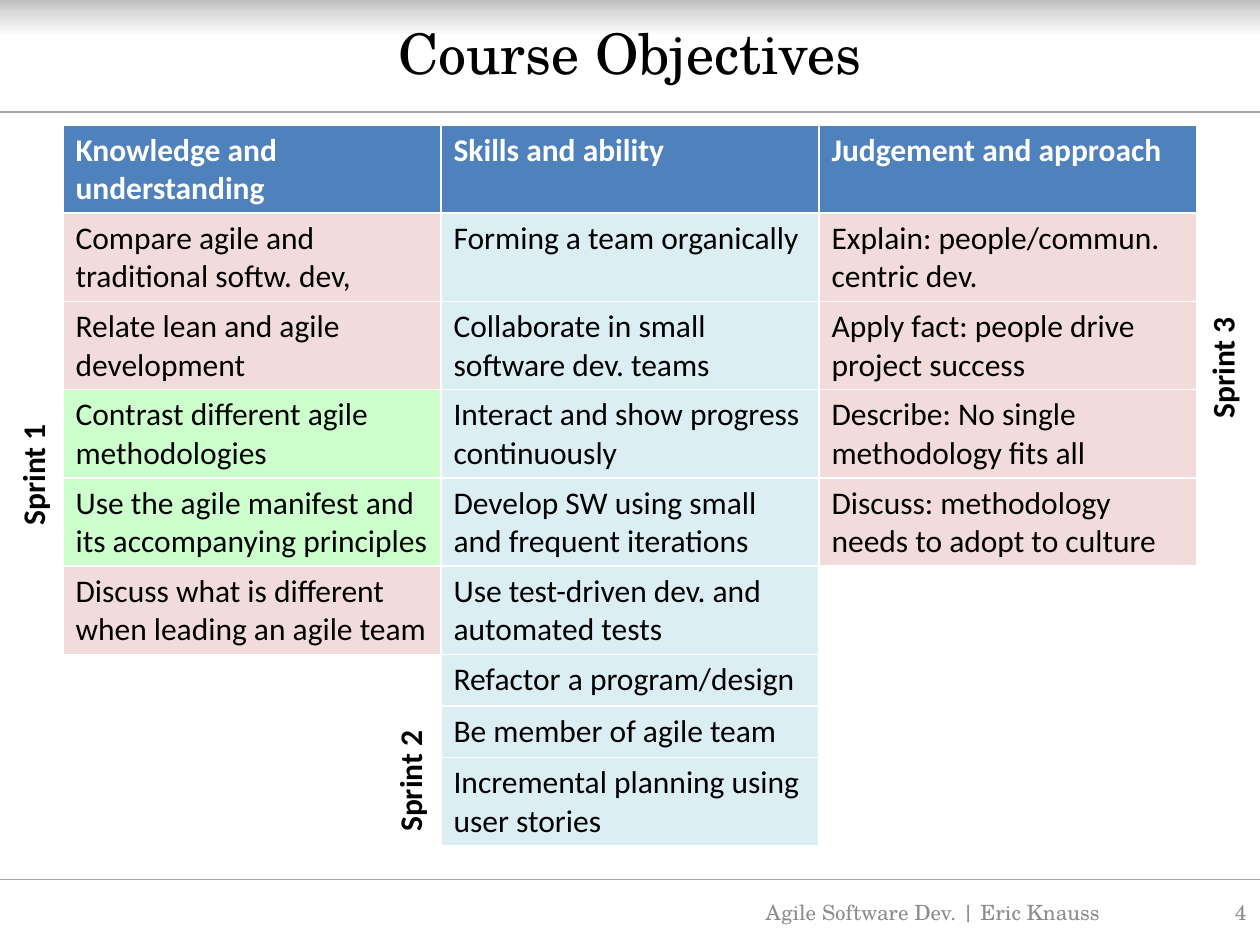
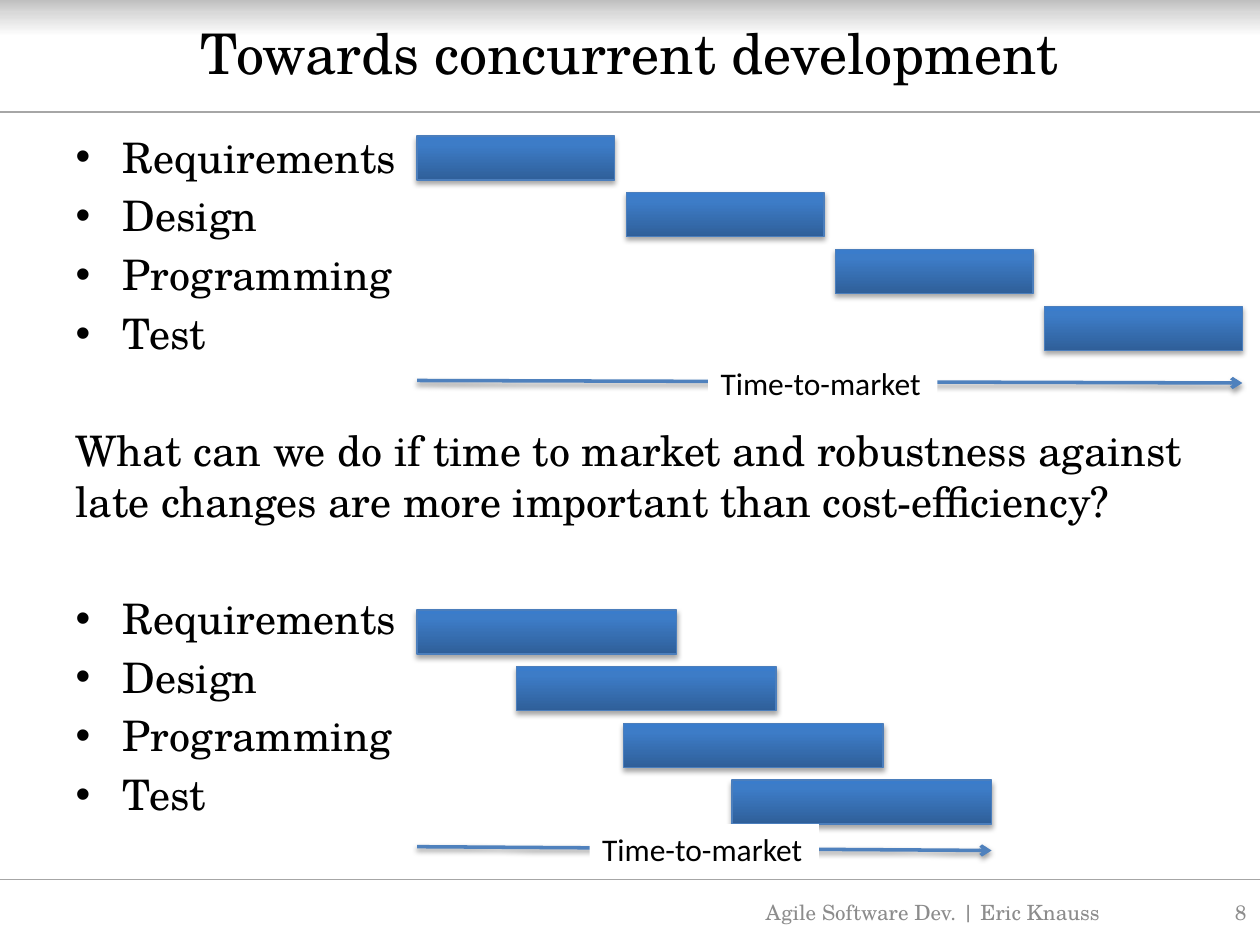
from lxml.etree import SubElement
from pptx import Presentation
from pptx.dml.color import RGBColor
from pptx.enum.shapes import MSO_CONNECTOR as Connector, MSO_SHAPE as Preset
from pptx.enum.text import MSO_ANCHOR as Anchor, MSO_AUTO_SIZE as AutoSize, PP_ALIGN as Align
from pptx.oxml import parse_xml
from pptx.oxml.ns import nsdecls, qn
from pptx.util import Inches, Pt

rgb = RGBColor.from_string
SERIF, SANS = "TeX Gyre Schola", "Calibri"
BLACK, WHITE, BLUE, RULE_GREY, FOOTER_GREY = "000000", "FFFFFF", "4F81BD", "A6A6A6", "8C8C8C"
ROSE, ICE, MINT = "F2DCDB", "DBEEF4", "CCFFCC"
MARGIN, CONTENT_TOP, CONTENT_WIDTH = Inches(0.5), Inches(0.99), Inches(9)


def write(frame, text, size=18, font=SANS, color=BLACK, bold=False, align=Align.LEFT, before=0):
    """Fill the first paragraph of the frame, or add another one after it."""
    paragraph = frame.add_paragraph() if frame.text else frame.paragraphs[0]
    paragraph.alignment = align
    paragraph.space_before = Pt(before)
    run = paragraph.add_run()
    run.text = text
    run.font.size, run.font.name, run.font.bold = Pt(size), font, bold
    run.font.color.rgb = rgb(color)
    return paragraph


def fill_gradient(shape, stops, angle):
    """Give the shape a linear gradient of (percent, colour) stops."""
    shape.fill.gradient()
    gradient = shape._element.spPr.find(qn("a:gradFill"))
    stop_xml = "".join(
        f'<a:gs pos="{percent * 1000}"><a:srgbClr val="{color}"/></a:gs>' for percent, color in stops)
    gradient.getparent().replace(gradient, parse_xml(
        f'<a:gradFill {nsdecls("a")} rotWithShape="1"><a:gsLst>{stop_xml}</a:gsLst>'
        f'<a:lin ang="{angle * 60000}" scaled="0"/></a:gradFill>'))


prs = Presentation()
prs.slide_width, prs.slide_height = Inches(10), Inches(7.5)
objectives = prs.slides.add_slide(prs.slide_layouts[5])
concurrent = prs.slides.add_slide(prs.slide_layouts[1])

# Band and rules: drawn once, then moved to the master
band = objectives.shapes.add_shape(Preset.RECTANGLE, 0, 0, prs.slide_width, Inches(0.29))
fill_gradient(band, [(0, "BFBFBF"), (34, "D9D9D9"), (100, WHITE)], 90)
band.line.fill.background()
band.shadow.inherit = False
backdrop = [band]
for height in (0.89, 6.98):
    rule = objectives.shapes.add_connector(
        Connector.STRAIGHT, 0, Inches(height), prs.slide_width, Inches(height))
    rule.line.color.rgb = rgb(RULE_GREY)
    rule.line.width = Pt(0.75)
    SubElement(rule._element.spPr, qn("a:effectLst"))
    backdrop.append(rule)
for number, part in enumerate(backdrop):
    part._element.xpath(".//p:cNvPr")[0].set("id", str(50 + number))
    prs.slide_master.shapes._spTree.insert(2 + number, part._element)

# Titles and footers
for slide, heading, page in ((objectives, "Course Objectives", "4"),
                             (concurrent, "Towards concurrent development", "8")):
    title = slide.shapes.title
    title.left, title.top, title.width, title.height = MARGIN, Inches(0.03), CONTENT_WIDTH, Inches(0.77)
    title.text_frame.auto_size = AutoSize.NONE
    title.text_frame.vertical_anchor = Anchor.MIDDLE
    write(title.text_frame, heading, size=32, font=SERIF, align=Align.CENTER)
    for left, width, text, align in ((5.82, 3.17, "Agile Software Dev. | Eric Knauss", Align.CENTER),
                                     (9.07, 0.92, page, Align.RIGHT)):
        footer = slide.shapes.add_textbox(
            Inches(left), Inches(7.04), Inches(width), Inches(0.4)).text_frame
        footer.word_wrap = True
        footer.vertical_anchor = Anchor.MIDDLE
        write(footer, text, size=12, font=SERIF, color=FOOTER_GREY, align=align)

# Slide 1: objectives by column, each with its sprint
columns = [
    ("Knowledge and understanding", ROSE, [
        "Compare agile and traditional softw. dev,",
        "Relate lean and agile development",
        "Contrast different agile methodologies",
        "Use the agile manifest and its accompanying principles",
        "Discuss what is different when leading an agile team"]),
    ("Skills and ability", ICE, [
        "Forming a team organically",
        "Collaborate in small software dev. teams",
        "Interact and show progress continuously",
        "Develop SW using small and frequent iterations",
        "Use test-driven dev. and automated tests",
        "Refactor a program/design",
        "Be member of agile team",
        "Incremental planning using user stories"]),
    ("Judgement and approach", ROSE, [
        "Explain: people/commun. centric dev.",
        "Apply fact: people drive project success",
        "Describe: No single methodology fits all",
        "Discuss: methodology needs to adopt to culture"]),
]
highlighted = {(3, 0), (4, 0)}
row_count = 1 + max(len(goals) for _, _, goals in columns)
goal_frame = objectives.shapes.add_table(
    row_count, len(columns), MARGIN, CONTENT_TOP, CONTENT_WIDTH, Inches(5.71))
goal_table = goal_frame.table
goal_table.horz_banding = False
for row in goal_table.rows:
    row.height = Inches(0.41)
goal_frame.height = Inches(5.71)
for col, (heading, tint, goals) in enumerate(columns):
    for row, text in enumerate([heading] + goals + [""] * (row_count - 1 - len(goals))):
        cell = goal_table.cell(row, col)
        is_head = row == 0
        shade = BLUE if is_head else MINT if (row, col) in highlighted else tint if text else WHITE
        cell.fill.solid()
        cell.fill.fore_color.rgb = rgb(shade)
        if text:
            write(cell.text_frame, text, color=WHITE if is_head else BLACK, bold=is_head)

for sprint, (left, top) in enumerate([(-0.25, 3.56), (2.74, 5.99), (9.19, 2.71)], start=1):
    tag = objectives.shapes.add_textbox(Inches(left), Inches(top), Inches(1.02), Inches(0.4))
    tag.rotation = 270
    tag.text_frame.word_wrap = False
    tag.text_frame.auto_size = AutoSize.SHAPE_TO_FIT_TEXT
    write(tag.text_frame, f"Sprint {sprint}", bold=True)

# Slide 2: phases in sequence, the question, phases overlapping
phases = ["Requirements", "Design", "Programming", "Test"]
question = ("What can we do if time to market and robustness against late changes "
            "are more important than cost-efficiency?")
PHASE_GAP, SECTION_GAP = 4.8, 38.2
body = concurrent.placeholders[1]
body.left, body.top, body.width, body.height = MARGIN, CONTENT_TOP, CONTENT_WIDTH, Inches(5.83)
body.text_frame.auto_size = AutoSize.NONE
lines = phases + [question] + phases
for index, line in enumerate(lines):
    starts_section = line == question or lines[index - 1] == question
    gap = 0 if index == 0 else SECTION_GAP if starts_section else PHASE_GAP
    paragraph = write(body.text_frame, line, size=24, font=SERIF, before=gap)
    if line == question:
        properties = paragraph._p.get_or_add_pPr()
        properties.set("marL", "0")
        properties.set("indent", "0")
        SubElement(properties, qn("a:buNone"))

CHART_LEFT, BAR_HEIGHT, BAR_PITCH = 3.31, 0.35, 0.45
schedules = [  # top, bar width, bar offsets, arrow top, arrow drop, label left
    (1.08, 1.57, [1.66 * step for step in range(4)], 3.02, 0.02, 5.62),
    (4.84, 2.06, [0, 0.79, 1.64, 2.5], 6.72, 0.03, 4.68),
]
for top, width, offsets, arrow_top, arrow_drop, label_left in schedules:
    shadowed = []
    for row, offset in enumerate(offsets):
        bar = concurrent.shapes.add_shape(
            Preset.RECTANGLE, Inches(CHART_LEFT + offset), Inches(top + row * BAR_PITCH),
            Inches(width), Inches(BAR_HEIGHT))
        fill_gradient(bar, [(0, "2F5F99"), (80, "3D7CC7"), (100, "3A7CCB")], 270)
        bar.line.color.rgb = rgb("4B7EBC")
        bar.line.width = Pt(0.75)
        shadowed.append((bar, 35, 1.8))

    arrow = concurrent.shapes.add_connector(
        Connector.STRAIGHT, Inches(CHART_LEFT), Inches(arrow_top),
        Inches(CHART_LEFT + offsets[-1] + width), Inches(arrow_top + arrow_drop))
    arrow.line.color.rgb = rgb(BLUE)
    arrow.line.width = Pt(2)
    SubElement(arrow._element.spPr.find(qn("a:ln")), qn("a:tailEnd"), type="arrow")
    shadowed.append((arrow, 38, 1.6))

    for part, opacity, distance in shadowed:
        part._element.spPr.append(parse_xml(
            f'<a:effectLst {nsdecls("a")}><a:outerShdw blurRad="{Pt(3.1)}" dist="{Pt(distance)}" '
            f'dir="5400000" rotWithShape="0"><a:srgbClr val="{BLACK}">'
            f'<a:alpha val="{opacity * 1000}"/></a:srgbClr></a:outerShdw></a:effectLst>'))

    label = concurrent.shapes.add_textbox(
        Inches(label_left), Inches(arrow_top - 0.18), Inches(1.82), Inches(0.4))
    label.fill.solid()
    label.fill.fore_color.rgb = rgb(WHITE)
    label.text_frame.word_wrap = False
    label.text_frame.auto_size = AutoSize.SHAPE_TO_FIT_TEXT
    write(label.text_frame, "Time-to-market")

prs.save("out.pptx")
